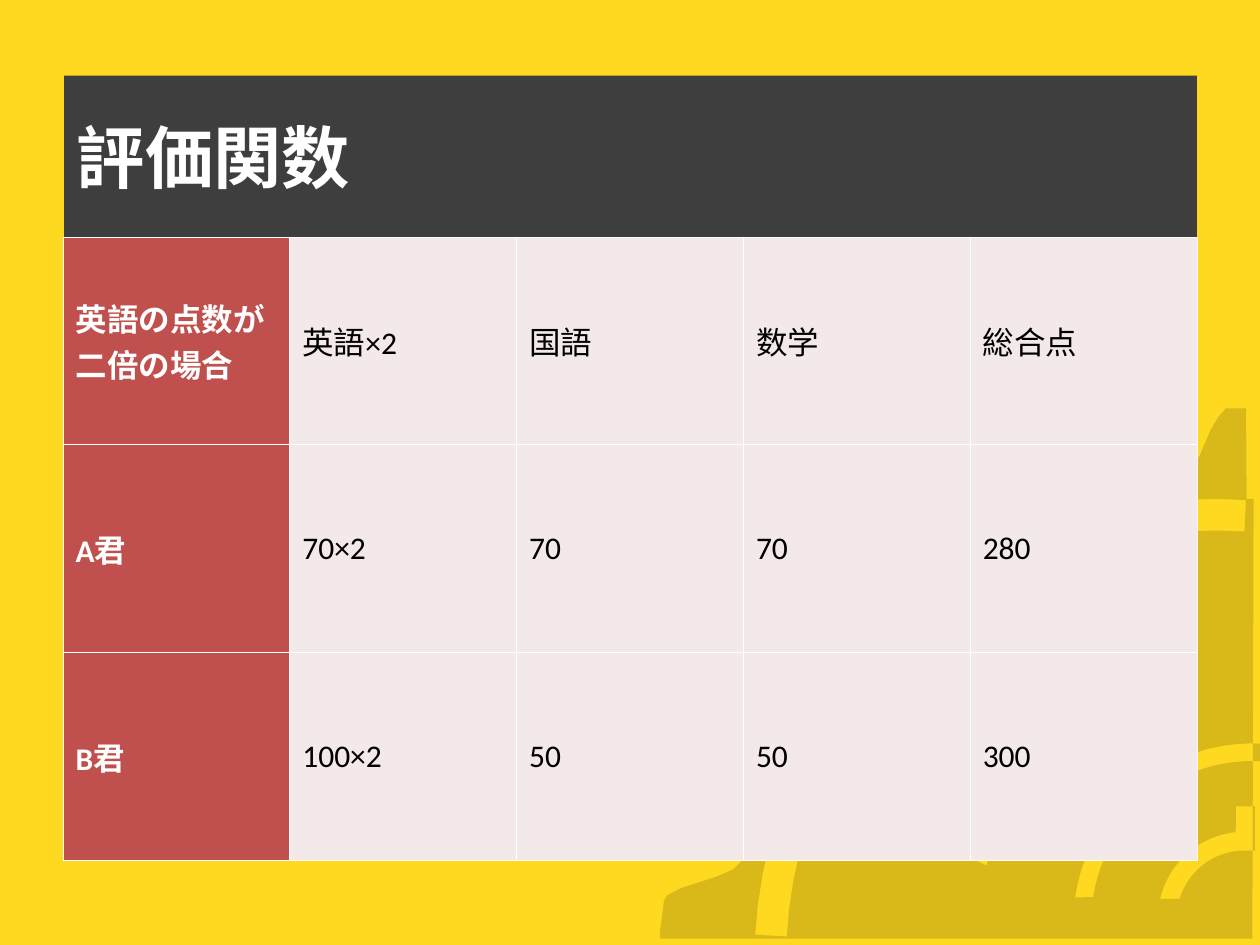
import math

import pptx
import pptx.dml.color
import pptx.enum.text
import pptx.oxml
import pptx.oxml.ns
import pptx.util

Inches = pptx.util.Inches
Pt = pptx.util.Pt
RGBColor = pptx.dml.color.RGBColor

YELLOW = RGBColor(0xFF, 0xD8, 0x20)
DARK_YELLOW = RGBColor(0xD9, 0xB9, 0x19)
CHARCOAL = RGBColor(0x3E, 0x3E, 0x3E)
RED = RGBColor(0xC0, 0x50, 0x4D)
PALE_PINK = RGBColor(0xF4, 0xE9, 0xE9)
WHITE = RGBColor(0xFF, 0xFF, 0xFF)
BLACK = RGBColor(0, 0, 0)

SCORES = [
    ["英語の点数が二倍の場合", "英語×2", "国語", "数学", "総合点"],
    ["A君", "70×2", "70", "70", "280"],
    ["B君", "100×2", "50", "50", "300"],
]

GEAR_TEETH = [
    (9.89, 3.24), (9.73, 3.24), (9.67, 3.31), (9.61, 3.41), (9.52, 3.62),
    (9.42, 3.77), (9.38, 3.79), (9, 3.85), (8.94, 3.83), (8.81, 3.71),
    (8.59, 3.46), (8.5, 3.41), (8.46, 3.41), (8.05, 3.55), (8, 3.63),
    (7.97, 3.77), (7.97, 4.09), (7.91, 4.22), (7.58, 4.41), (7.52, 4.42),
    (7.25, 4.29), (7.05, 4.2), (6.92, 4.2), (6.74, 4.34), (6.57, 4.52),
    (6.57, 4.63), (6.68, 4.94), (6.72, 5.12), (6.59, 5.31), (6.46, 5.48),
    (6.39, 5.5), (5.96, 5.48), (5.83, 5.49), (5.73, 5.62), (5.59, 5.91),
    (5.61, 6.01), (5.7, 6.12), (5.9, 6.32), (5.98, 6.44), (5.98, 6.48),
    (5.88, 6.84), (5.82, 6.9), (5.68, 6.96), (5.4, 7.05), (5.29, 7.11),
    (5.27, 7.15), (5.24, 7.38), (5.24, 7.45),
]


def arc(center, radius, start, end, steps=24):
    """Points along a circle; degrees run counterclockwise from the right."""
    angles = [math.radians(start + (end - start) * i / steps)
              for i in range(steps + 1)]
    return [(center[0] + radius * math.cos(a), center[1] - radius * math.sin(a))
            for a in angles]


def gear_contours():
    hub, small, large = (9.64, 7.61), (9.88, 7.29), (9.94, 7.32)
    body = ([(9.94, 7.45), (9.95, 3.96), (9.89, 3.96)]
            + arc(hub, 3.4, 86, 177) + arc(hub, 3.65, 177, 86) + GEAR_TEETH)
    small_arch = (arc(small, 0.69, 167, 96)
                  + [(9.81, 6.4), (9.96, 6.4), (9.96, 6.75)]
                  + arc(small, 0.54, 90, 163))
    large_arch = arc(large, 1.42, 172, 83) + arc(large, 1.28, 82, 171)
    ticks = [
        [(9.42, 5.26), (9.13, 5.35), (9, 4.49)],
        [(8.46, 5.76), (8.29, 5.94), (7.76, 5.23)],
        [(7.89, 6.64), (7.83, 6.87), (7.01, 6.47)],
    ]
    return [body, small_arch, large_arch, *ticks]


class SlideBuilder:
    title_font = {"name": "Arial", "size": Pt(39), "bold": True}
    cell_font = {"name": "Calibri", "size": Pt(18)}

    def __init__(self, slide):
        self.slide = slide

    def background(self, color):
        fill = self.slide.background.fill
        fill.solid()
        fill.fore_color.rgb = color

    def outline(self, contours, color):
        """Draw all contours as one shape, inner ones cutting holes."""
        points = [[(Inches(x), Inches(y)) for x, y in contour]
                  for contour in contours]
        builder = self.slide.shapes.build_freeform(*points[0][0])
        builder.add_line_segments(points[0][1:])
        for hole in points[1:]:
            builder.move_to(*hole[0])
            builder.add_line_segments(hole[1:])
        shape = builder.convert_to_shape()
        shape.fill.solid()
        shape.fill.fore_color.rgb = color
        shape.line.fill.background()
        shape.shadow.inherit = False

    def style(self, paragraph, font, color):
        paragraph.alignment = pptx.enum.text.PP_ALIGN.LEFT
        for key, value in font.items():
            setattr(paragraph.font, key, value)
        paragraph.font.color.rgb = color

    def title(self, text, left, top, width, height):
        heading = self.slide.shapes.title
        box = {"left": left, "top": top, "width": width, "height": height}
        for key, value in box.items():
            setattr(heading, key, Inches(value))
        heading.fill.solid()
        heading.fill.fore_color.rgb = CHARCOAL
        heading.text_frame.text = text
        heading.text_frame.vertical_anchor = pptx.enum.text.MSO_ANCHOR.MIDDLE
        self.style(heading.text_frame.paragraphs[0], self.title_font, WHITE)

    def table(self, rows, left, top, width, height):
        grid = self.slide.shapes.add_table(
            len(rows), len(rows[0]), Inches(left), Inches(top),
            Inches(width), Inches(height)).table
        grid.first_row = grid.horz_banding = False
        for r, row in enumerate(rows):
            for c, text in enumerate(row):
                self.cell(grid.cell(r, c), text, is_label=c == 0)

    def cell(self, cell, text, is_label):
        cell.text = text
        cell.vertical_anchor = pptx.enum.text.MSO_ANCHOR.MIDDLE
        self.style(cell.text_frame.paragraphs[0],
                   {**self.cell_font, "bold": is_label},
                   WHITE if is_label else BLACK)
        self.borders(cell, WHITE, 0.45)
        cell.fill.solid()
        cell.fill.fore_color.rgb = RED if is_label else PALE_PINK

    def borders(self, cell, color, points):
        properties = cell._tc.get_or_add_tcPr()
        for side in ("lnL", "lnR", "lnT", "lnB"):
            properties.append(pptx.oxml.parse_xml(
                f'<a:{side} {pptx.oxml.ns.nsdecls("a")} w="{Pt(points)}">'
                f'<a:solidFill><a:srgbClr val="{color}"/></a:solidFill>'
                f'</a:{side}>'))


def main():
    deck = pptx.Presentation()
    deck.slide_width, deck.slide_height = Inches(10), Inches(7.5)
    page = SlideBuilder(deck.slides.add_slide(deck.slide_layouts[5]))
    page.background(YELLOW)
    page.outline(gear_contours(), DARK_YELLOW)
    page.title("評価関数", 0.51, 0.6, 8.99, 1.28)
    page.table(SCORES, 0.5, 1.88, 9, 4.95)
    deck.save("out.pptx")


if __name__ == "__main__":
    main()
